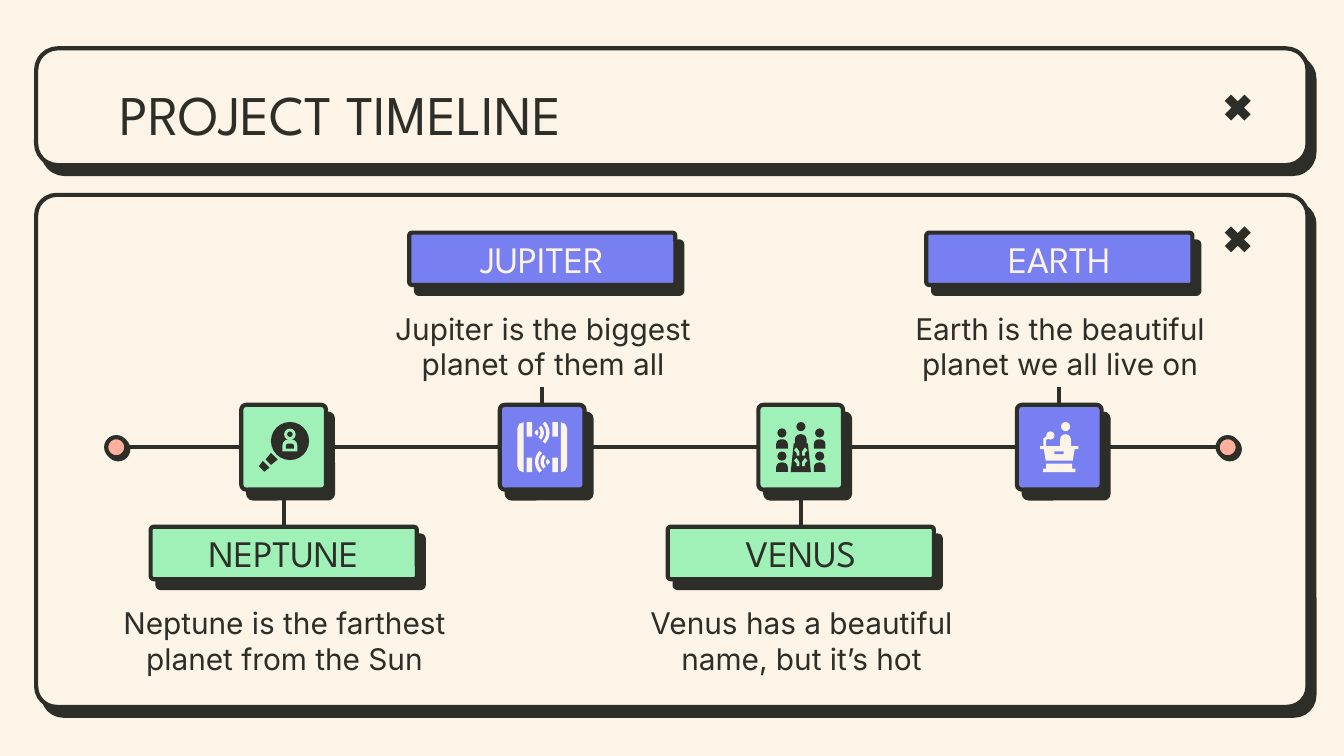
from math import cos, radians, sin

from lxml import etree
from pptx import Presentation
from pptx.dml.color import RGBColor
from pptx.enum.shapes import MSO_CONNECTOR, MSO_SHAPE
from pptx.enum.text import MSO_ANCHOR, PP_ALIGN
from pptx.oxml.ns import qn
from pptx.util import Pt

CREAM = RGBColor(0xFC, 0xF4, 0xE6)
INK = RGBColor(0x2D, 0x2E, 0x27)
GREEN = RGBColor(0x9F, 0xF1, 0xB7)
BLUE = RGBColor(0x78, 0x7F, 0xF0)
CORAL = RGBColor(0xFF, 0xB0, 0x9C)

ROUND = MSO_SHAPE.ROUNDED_RECTANGLE
DOME = MSO_SHAPE.ROUND_2_SAME_RECTANGLE
OVAL = MSO_SHAPE.OVAL
RECT = MSO_SHAPE.RECTANGLE
CROSS = MSO_SHAPE.MATH_MULTIPLY
STRAIGHT = MSO_CONNECTOR.STRAIGHT
MIDDLE, TOP = MSO_ANCHOR.MIDDLE, MSO_ANCHOR.TOP
CENTER, LEFT = PP_ALIGN.CENTER, PP_ALIGN.LEFT

prs = Presentation()
prs.slide_width, prs.slide_height = Pt(720), Pt(405)
slide = prs.slides.add_slide(prs.slide_layouts[6])
slide.background.fill.solid()
slide.background.fill.fore_color.rgb = CREAM
shapes = slide.shapes


def put(kind, x, y, w, h, fill, adjust=None, drop=0, angle=52):
    shape = shapes.add_shape(kind, Pt(x), Pt(y), Pt(w), Pt(h))
    if adjust is not None:
        shape.adjustments[0] = adjust
    shape.fill.solid()
    shape.fill.fore_color.rgb = fill
    shape.shadow.inherit = False
    if not drop:
        shape.line.fill.background()
        return
    shape.line.color.rgb = INK
    shape.line.width = Pt(2.25)
    effects = shape._element.spPr.find(qn("a:effectLst"))
    shadow = etree.SubElement(effects, qn("a:outerShdw"), dist=str(Pt(drop)),
                              dir=str(angle * 60000), algn="bl", rotWithShape="0")
    etree.SubElement(shadow, qn("a:srgbClr"), val=str(INK))


def outline(points, x, y, fill):
    corners = [(Pt(x + dx), Pt(y + dy)) for dx, dy in points]
    builder = shapes.build_freeform(*corners[0], scale=1)
    builder.add_line_segments(corners[1:], close=True)
    shape = builder.convert_to_shape()
    shape.fill.solid()
    shape.fill.fore_color.rgb = fill
    shape.line.fill.background()
    shape.shadow.inherit = False


for panel_top, panel_height, corner, cross_top in ((25.9, 62.6, 0.186, 47.5),
                                                   (104.4, 274.3, 0.04, 118.1)):
    put(ROUND, 19.4, panel_top, 681.1, panel_height, CREAM, corner, 6)
    put(CROSS, 653, cross_top, 20.2, 20.2, INK, 0.235)

AXIS = 239.6
TILE, CARD_WIDTH, CARD_HEIGHT = 45.4, 142.6, 28.1
planets = [
    ("NEPTUNE", "Neptune is the farthest planet from the Sun", False),
    ("JUPITER", "Jupiter is the biggest planet of them all", True),
    ("VENUS", "Venus has a beautiful name, but it’s hot", False),
    ("EARTH", "Earth is the beautiful planet we all live on", True),
]
centers = [152 + 138.5 * i for i in range(len(planets))]
neptune, jupiter, venus, earth = centers

texts = [("PROJECT TIMELINE", 56.9, 35.3, 607, 45.4, TOP, LEFT, 0,
          INK, {"name": "League Spartan", "size": Pt(30)})]
lines = []
line_start = 56.9
for center, (planet, fact, above) in zip(centers, planets):
    fill, ink = (BLUE, CREAM) if above else (GREEN, INK)
    card_top = 124.6 if above else 282.2
    put(ROUND, center - TILE / 2, AXIS - TILE / 2, TILE, TILE, fill, 0.057, 6)
    put(ROUND, center - CARD_WIDTH / 2, card_top, CARD_WIDTH, CARD_HEIGHT, fill, 0.057, 6)
    texts.append((planet, center - 62.6, card_top, 125.2, CARD_HEIGHT, MIDDLE, CENTER, 0,
                  ink, {"name": "League Spartan", "size": Pt(20)}))
    texts.append((fact, center - 98.2, card_top + 38.1, 197.3, 45.4, MIDDLE, CENTER, 12,
                  INK, {"name": "Inter", "size": Pt(16)}))
    lines.append((line_start, AXIS, center - TILE / 2, AXIS))
    line_start = center + TILE / 2
    if above:
        lines.append((center, AXIS - TILE / 2, center, 207.4))
    else:
        lines.append((center, AXIS + TILE / 2, center, card_top))
lines.append((line_start, AXIS, 663.1, AXIS))

for x1, y1, x2, y2 in lines:
    line = shapes.add_connector(STRAIGHT, Pt(x1), Pt(y1), Pt(x2), Pt(y2))
    line.line.color.rgb = INK
    line.line.width = Pt(2.25)
    etree.SubElement(line._element.spPr, qn("a:effectLst"))

for end_left in (56.9, 652.3):
    put(OVAL, end_left, AXIS - 5.4, 10.8, 10.8, CORAL, None, 1.5, 45)

for words, x, y, w, h, anchor, align, after, color, font_format in texts:
    box = shapes.add_textbox(Pt(x), Pt(y), Pt(w), Pt(h))
    frame = box.text_frame
    frame_format = {"word_wrap": True, "vertical_anchor": anchor, "margin_left": Pt(7.2),
                    "margin_right": Pt(7.2), "margin_top": Pt(7.2), "margin_bottom": Pt(7.2)}
    for key, value in frame_format.items():
        setattr(frame, key, value)
    paragraph = frame.paragraphs[0]
    paragraph.alignment = align
    paragraph.space_after = Pt(after)
    run = paragraph.add_run()
    run.text = words
    for key, value in font_format.items():
        setattr(run.font, key, value)
    run.font.color.rgb = color

icon_parts = [
    (neptune, OVAL, -6.8, -13.5, 20.4, 20.4, INK),
    (neptune, OVAL, 0.2, -10, 6.2, 6.2, GREEN),
    (neptune, OVAL, 1.9, -8.4, 2.9, 2.9, INK),
    (neptune, DOME, -0.7, -4.2, 8, 6.5, GREEN),
    (neptune, DOME, 1.1, -2, 4.4, 2.8, INK),
    (venus, OVAL, -2.4, -13.5, 4.9, 4.9, INK),
    (venus, DOME, -3.2, -7, 6.4, 6, INK),
    (earth, OVAL, 0.9, -13.5, 4.9, 4.9, CREAM),
    (earth, DOME, 0.4, -7, 5.9, 7, CREAM),
    (earth, OVAL, -7, -8.5, 4.4, 4.4, CREAM),
    (earth, RECT, -7, 8.8, 13.9, 2.9, CREAM),
    (earth, RECT, -8.6, 11.5, 17.3, 1.9, CREAM),
]
for row in (0, 12.4):
    for x in (-10.1, 10.1):
        icon_parts.append((venus, OVAL, x - 2.45, row - 10.1, 4.9, 4.9, INK))
        icon_parts.append((venus, DOME, x - 3.1, row - 4.2, 6.2, 5, INK))
for center, kind, x, y, w, h, fill in icon_parts:
    put(kind, center + x, AXIS + y, w, h, fill, 0.5 if kind == DOME else None)

outline([(-6.8, 3), (-9.7, 6.6), (-6.8, 9.5), (-3.2, 6.6)], neptune, AXIS, INK)
outline([(-11.2, 7.3), (-13.3, 10.2), (-10.4, 13.1), (-7.6, 10.9)], neptune, AXIS, INK)
outline([(-3.8, -2), (3.8, -2), (5.4, 13.3), (-5.4, 13.3)], venus, AXIS, INK)
outline([(-10.2, -0.6), (-8.5, -0.6), (-8.5, -4.8), (-6.5, -6), (-5.6, -4.6), (-7, -3.9),
         (-7, -0.6), (10.2, -0.6), (10.2, 1), (8.3, 1), (7.2, 7.2), (-7.2, 7.2), (-8.3, 1),
         (-10.2, 1)], earth, AXIS, CREAM)
put(RECT, earth - 2.6, AXIS + 2.2, 4.9, 1.5, BLUE)

bracket = [(10, -13.4), (12.3, -12.5), (13.3, -10.2), (13.3, 10.2), (12.3, 12.5), (10, 13.4)]
fold = [(2.3, 0.1), (0.7, 2.3), (0.7, 4.5), (2.2, 4.5), (2.2, 3), (3.6, 1.6)]
sweep = [radians(degrees) for degrees in range(-45, 46, 9)]
for side in (-1, 1):
    outline([(side * x, y) for x, y in bracket], jupiter, AXIS, CREAM)
    for post_top in (-13.4, 5.6):
        put(RECT, jupiter + side * 6.9 - 1.5, AXIS + post_top, 3, 7.8, CREAM)
    for outer, inner in ((8.3, 6.5), (5.3, 3.5), (2.3, 0.5)):
        wave = [(outer * cos(a), outer * sin(a)) for a in sweep]
        wave += [(inner * cos(a), inner * sin(a)) for a in reversed(sweep)]
        outline([(-side * x, y) for x, y in wave],
                jupiter + side * 4.4, AXIS + side * 7.8, CREAM)
    for row in (0, 5.6):
        outline([(side * x, y) for x, y in fold], venus, AXIS + row, GREEN)

prs.save("out.pptx")
